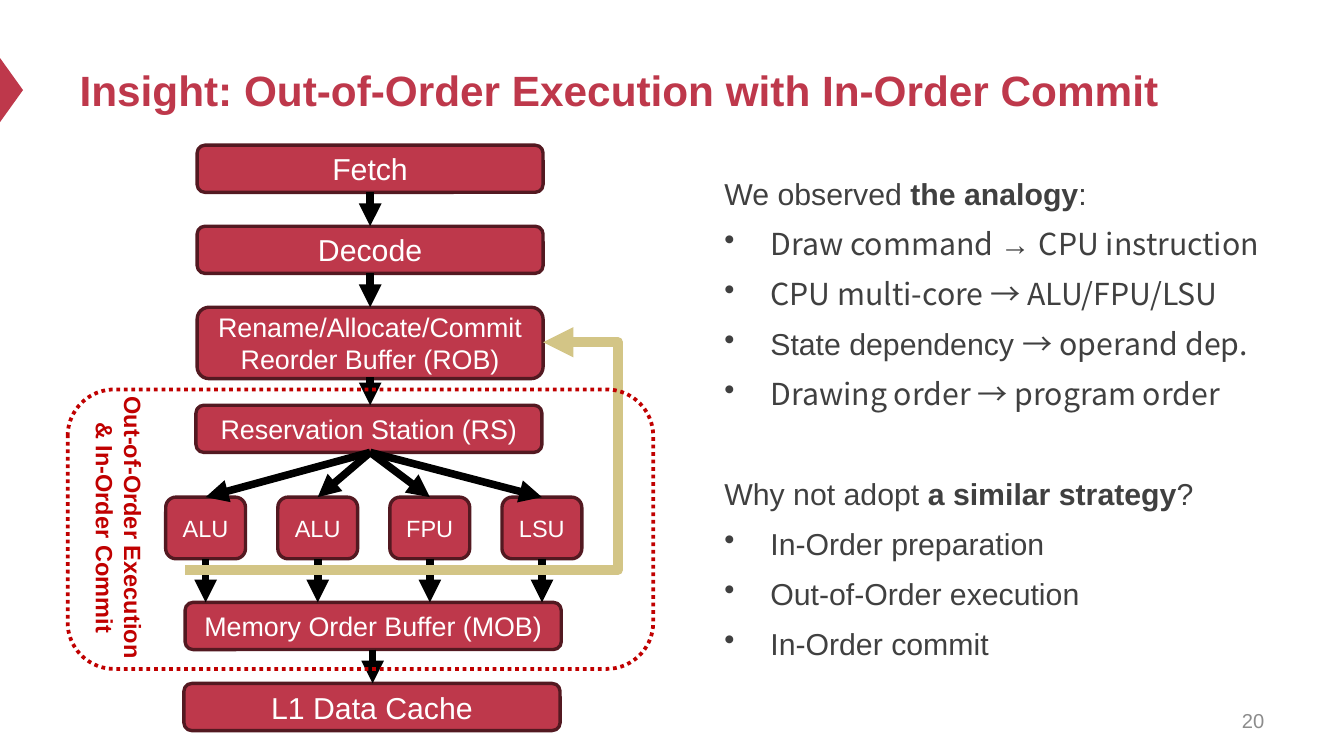
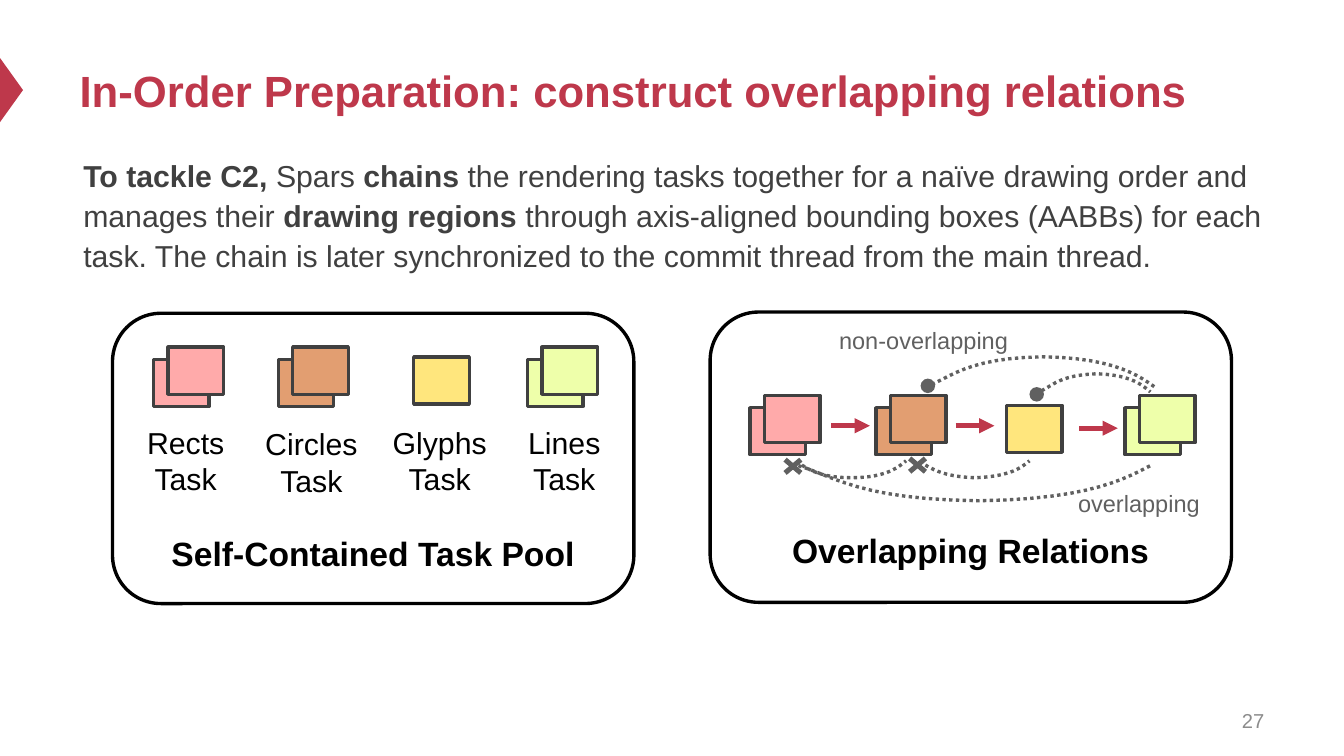
from lxml import etree
from pptx import Presentation
from pptx.dml.color import RGBColor
from pptx.enum import dml, shapes, text
from pptx.oxml import ns
from pptx.util import Inches, Pt

RED = RGBColor(0xBE, 0x38, 0x4B)
DARK_RED = RGBColor(0x53, 0x19, 0x21)
ALERT = RGBColor(0xC0, 0x00, 0x00)
SAND = RGBColor(0xD3, 0xC5, 0x86)
BLACK = RGBColor(0x00, 0x00, 0x00)
WHITE = RGBColor(0xFF, 0xFF, 0xFF)
INK = RGBColor(0x40, 0x40, 0x40)
GRAY = RGBColor(0x60, 0x60, 0x60)
PAGE_GRAY = RGBColor(0x8C, 0x8C, 0x8C)
PINK = RGBColor(0xFF, 0xAA, 0xAA)
ORANGE = RGBColor(0xE2, 0x9E, 0x71)
YELLOW = RGBColor(0xFF, 0xE6, 0x7D)
LIME = RGBColor(0xEE, 0xFF, 0xAA)

SANS = "Arial"
CJK = "Noto Sans CJK SC"
ROUND = shapes.MSO_SHAPE.ROUNDED_RECTANGLE
RECT = shapes.MSO_SHAPE.RECTANGLE
OVAL = shapes.MSO_SHAPE.OVAL
DOTS = dml.MSO_LINE.ROUND_DOT
CENTER = text.PP_ALIGN.CENTER
LEFT = text.PP_ALIGN.LEFT
RIGHT = text.PP_ALIGN.RIGHT
TOP = text.MSO_ANCHOR.TOP
MIDDLE = text.MSO_ANCHOR.MIDDLE


def add_box(s, kind, at, paras=(), size=18, color=BLACK, bold=False, align=CENTER,
            anchor=MIDDLE, fill=None, line=None, width=2.0, dash=None):
    at = [Inches(v) for v in at]
    if kind is None:
        sp = s.shapes.add_textbox(*at)
    else:
        sp = s.shapes.add_shape(kind, *at)
        sp.shadow.inherit = False
        if fill is None:
            sp.fill.background()
        else:
            sp.fill.solid()
            sp.fill.fore_color.rgb = fill
        if line is None:
            sp.line.fill.background()
        else:
            sp.line.color.rgb = line
            sp.line.width = Pt(width)
            sp.line.dash_style = dash
    tf = sp.text_frame
    tf.word_wrap = True
    tf.vertical_anchor = anchor
    for i, runs in enumerate(paras):
        p = tf.paragraphs[0] if i == 0 else tf.add_paragraph()
        p.alignment = align
        for words, changes in [(runs, {})] if isinstance(runs, str) else runs:
            r = p.add_run()
            r.text = words
            fmt = {"name": SANS, "size": Pt(size), "bold": bold, **changes}
            for key, value in fmt.items():
                setattr(r.font, key, value)
            r.font.color.rgb = color
            ea = etree.SubElement(r._r.get_or_add_rPr(), ns.qn("a:ea"))
            ea.set("typeface", fmt["name"])
    return sp


def add_line(s, start, end, color, width, arrow=True, kind=shapes.MSO_CONNECTOR.STRAIGHT):
    sp = s.shapes.add_connector(kind, *[Inches(v) for v in (*start, *end)])
    sp.line.color.rgb = color
    sp.line.width = Pt(width)
    if arrow:
        etree.SubElement(sp.line._get_or_add_ln(), ns.qn("a:tailEnd")).set("type", "triangle")
    etree.SubElement(sp._element.spPr, ns.qn("a:effectLst"))
    return sp


prs = Presentation()
prs.slide_width = Inches(11.11)
prs.slide_height = Inches(6.25)

slides = []
for title, size, number in [
    ("Insight: Out-of-Order Execution with In-Order Commit", 25.2, "20"),
    ("In-Order Preparation: construct overlapping relations", 26, "27"),
]:
    s = prs.slides.add_slide(prs.slide_layouts[6])
    marker = add_box(s, shapes.MSO_SHAPE.ISOSCELES_TRIANGLE, (-0.17, 0.65, 0.53, 0.19), fill=RED)
    marker.rotation = 90
    add_box(s, None, (0.56, 0.25, 10, 0.98), [title], size, RED, True, LEFT)
    add_box(s, None, (7.96, 5.79, 2.59, 0.33), [number], 12, PAGE_GRAY, align=RIGHT)
    slides.append(s)

BOLD = {"bold": True}
NOTO = {"name": CJK}
analogy = [
    [("We observed ", {}), ("the analogy", BOLD), (":", {})],
    [("Draw command ", NOTO), ("→ ", {}), ("CPU instruction", NOTO)],
    [("CPU multi-core → ALU/FPU/LSU", NOTO)],
    [("State dependency ", {}), ("→ operand dep.", NOTO)],
    [("Drawing order → program order", NOTO)],
    [("Why not adopt ", {}), ("a similar strategy", BOLD), ("?", {})],
    "In-Order preparation",
    "Out-of-Order execution",
    "In-Order commit",
]
summary = [[
    ("To tackle C2, ", BOLD), ("Spars ", {}), ("chains", BOLD),
    (" the rendering tasks together for a naïve drawing order and manages their ", {}),
    ("drawing regions ", BOLD),
    ("through axis-aligned bounding boxes (AABBs) for each task. "
     "The chain is later synchronized to the commit thread from the main thread.", {}),
]]
for s, at, paras, leads in [
    (slides[0], (5.89, 1.37, 4.84, 4.16), analogy, (0, 5)),
    (slides[1], (0.59, 1.22, 10, 1.39), summary, (0,)),
]:
    sp = add_box(s, None, at, paras, color=INK, align=LEFT, anchor=TOP)
    for i, p in enumerate(sp.text_frame.paragraphs):
        if i not in leads:
            pPr = p._p.get_or_add_pPr()
            pPr.set("marL", str(Inches(0.38)))
            pPr.set("indent", str(-Inches(0.38)))
            etree.SubElement(pPr, ns.qn("a:buChar")).set("char", "•")
        p.line_spacing = Pt(23.76)
        if i:
            p.space_before = Pt(35.76 if i in leads else 6)

s = slides[0]
for at, paras, size in [
    ((1.63, 1.2, 2.86, 0.39), ["Fetch"], 18),
    ((1.63, 1.87, 2.86, 0.39), ["Decode"], 18),
    ((1.63, 2.54, 2.86, 0.59), ["Rename/Allocate/Commit", "Reorder Buffer (ROB)"], 16),
    ((1.62, 3.35, 2.86, 0.39), ["Reservation Station (RS)"], 16),
    ((1.53, 4.98, 3.11, 0.39), ["Memory Order Buffer (MOB)"], 16),
    ((1.52, 5.65, 3.11, 0.39), ["L1 Data Cache"], 18),
    *[((1.37 + 2.78 * i / 3, 4.11, 0.66, 0.51), [unit], 14)
      for i, unit in enumerate(["ALU", "ALU", "FPU", "LSU"])],
]:
    add_box(s, ROUND, at, paras, size, WHITE, fill=RED, line=DARK_RED)

for x, top, bottom in [(3.06, 1.59, 1.87), (3.06, 2.26, 2.54), (3.06, 3.12, 3.35), (3.08, 5.37, 5.65)]:
    add_line(s, (x, top), (x, bottom), BLACK, 4.5)
for i in range(4):
    x = 1.7 + 2.78 * i / 3
    add_line(s, (3.06, 3.74), (x, 4.11), BLACK, 4.5)
    add_line(s, (x, 4.62), (x, 4.98), BLACK, 4.5)

commit = add_line(s, (1.53, 4.71), (4.49, 2.83), SAND, 6, kind=shapes.MSO_CONNECTOR.ELBOW)
geom = commit._element.spPr.find(ns.qn("a:prstGeom"))
av = geom.find(ns.qn("a:avLst"))
if av is None:
    av = etree.SubElement(geom, ns.qn("a:avLst"))
gd = etree.SubElement(av, ns.qn("a:gd"))
gd.set("name", "adj1")
gd.set("fmla", "val 120900")

add_box(s, ROUND, (0.56, 3.22, 4.84, 2.31), line=ALERT, width=2.25, dash=DOTS)
label = add_box(s, None, (0.6, 3.18, 0.67, 2.44), ["Out-of-Order Execution", "& In-Order Commit"],
                14, ALERT, True, anchor=TOP)
label.text_frame._txBody.bodyPr.set("vert", "eaVert")

s = slides[1]
for x, y, caption, caption_y in [
    (0.93, 2.59, "Self-Contained Task Pool", 4.36),
    (5.87, 2.58, "Overlapping Relations", 4.33),
]:
    add_box(s, ROUND, (x, y, 4.31, 2.4), fill=WHITE, line=BLACK)
    add_box(s, None, (x + 0.04, caption_y, 4.23, 0.81), [caption], 20, bold=True, anchor=TOP)

COLORS = [PINK, ORANGE, YELLOW, LIME]
for y, lefts in [(2.87, (1.39, 2.42, 3.42, 4.48)), (3.27, (6.32, 7.36, 8.32, 9.42))]:
    for x, color in zip(lefts, COLORS):
        if color == YELLOW:
            add_box(s, RECT, (x, y + 0.08, 0.46, 0.39), fill=color, line=INK)
        else:
            for dx, dy in [(-0.12, 0.1), (0, 0)]:
                add_box(s, RECT, (x + dx, y + dy, 0.46, 0.39), fill=color, line=INK)

for x, y, name in [(1.02, 3.46, "Rects"), (2.06, 3.47, "Circles"),
                   (3.12, 3.46, "Glyphs"), (4.15, 3.46, "Lines")]:
    add_box(s, None, (x, y, 1.03, 0.81), [name, "Task"], anchor=TOP)

for x, y in [(6.87, 3.52), (7.9, 3.52), (8.92, 3.54)]:
    add_line(s, (x, y), (x + 0.32, y), RED, 3)

STEPS = 12
for curve in [
    [(7.65, 3.2), (7.85, 3.13), (7.98, 2.96), (8.62, 2.95), (9.24, 2.96), (9.43, 3.12), (9.56, 3.21)],
    [(8.61, 3.23), (8.7, 3.19), (8.76, 3.1), (9.07, 3.09), (9.36, 3.1), (9.45, 3.19), (9.51, 3.24)],
    [(6.6, 3.85), (6.9, 3.94), (7.11, 4.13), (8.09, 4.14), (9.04, 4.13), (9.33, 3.94), (9.53, 3.84)],
    [(6.58, 3.82), (6.67, 3.86), (6.74, 3.95), (7.04, 3.95), (7.33, 3.95), (7.43, 3.86), (7.49, 3.81)],
    [(7.6, 3.82), (7.69, 3.86), (7.76, 3.94), (8.06, 3.95), (8.36, 3.94), (8.45, 3.86), (8.51, 3.81)],
]:
    points = []
    for k in (0, 3):
        for n in range(1, STEPS + 1):
            t = n / STEPS
            weights = ((1 - t) ** 3, 3 * t * (1 - t) ** 2, 3 * t * t * (1 - t), t ** 3)
            points.append([Inches(sum(w * c[axis] for w, c in zip(weights, curve[k:k + 4])))
                           for axis in (0, 1)])
    fb = s.shapes.build_freeform(*[Inches(v) for v in curve[0]])
    fb.add_line_segments(points, close=False)
    sp = fb.convert_to_shape()
    sp.shadow.inherit = False
    sp.fill.background()
    sp.line.color.rgb = GRAY
    sp.line.width = Pt(2)
    sp.line.dash_style = DOTS

for x, y in [(7.61, 3.13), (8.51, 3.2)]:
    add_box(s, OVAL, (x, y, 0.12, 0.12), fill=GRAY)
for x, y in [(6.49, 3.8), (7.52, 3.79)]:
    add_line(s, (x, y), (x + 0.13, y + 0.11), GRAY, 3, arrow=False)
    add_line(s, (x, y + 0.11), (x + 0.13, y), GRAY, 3, arrow=False)
for x, y, name in [(6.61, 2.65, "non-overlapping"), (8.39, 3.99, "overlapping")]:
    add_box(s, None, (x, y, 2.05, 0.44), [name], 14, GRAY, anchor=TOP)

prs.save("out.pptx")
